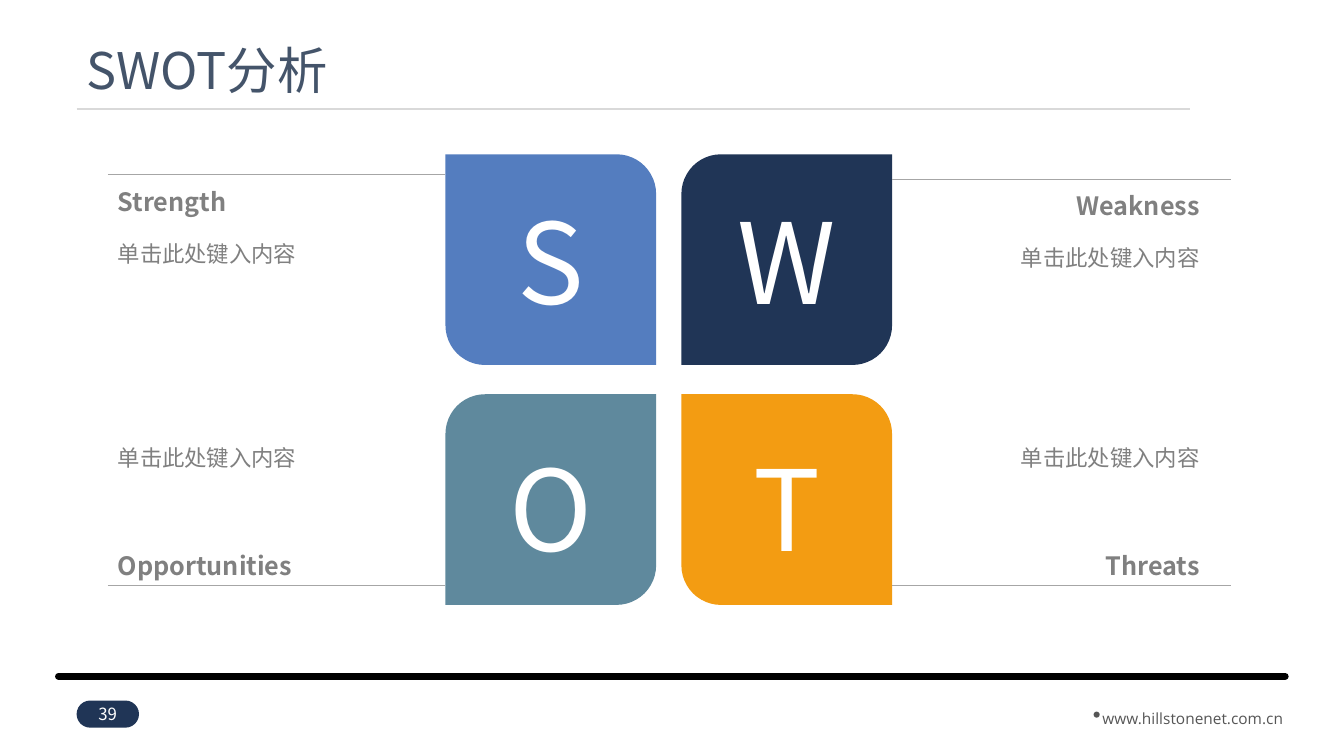
from pptx import Presentation
from pptx import util as u
from pptx.dml.color import RGBColor
from pptx.enum import shapes, text
from pptx.oxml.ns import qn

Pt = u.Pt
KIND, ALIGN = shapes.MSO_SHAPE, text.PP_ALIGN
CJK, SANS = "Noto Sans CJK SC", "Open Sans"
BLUE = RGBColor(0x54, 0x7D, 0xBF)
NAVY = RGBColor(0x20, 0x35, 0x56)
TEAL = RGBColor(0x5F, 0x89, 0x9D)
GOLD = RGBColor(0xF3, 0x9C, 0x12)
SLATE = RGBColor(0x44, 0x54, 0x6A)
GREY = RGBColor(0x80, 0x80, 0x80)
DARK = RGBColor(0x56, 0x56, 0x56)
MID = RGBColor(0xA6, 0xA6, 0xA6)
PALE = RGBColor(0xD9, 0xD9, 0xD9)
WHITE = RGBColor(255, 255, 255)
BLACK = RGBColor(0, 0, 0)

# Content
TITLE = "SWOT分析"
BODY = "单击此处键入内容"
SITE = "www.hillstonenet.com.cn"
PAGE = "39"
# Letter, heading, colour, then y of rule, heading and body; row by row
PARTS = [
    ("S", "Strength", BLUE, 124.9, 129.6, 164.2),
    ("W", "Weakness", NAVY, 127.8, 132.5, 167.0),
    ("O", "Opportunities", TEAL, 418.3, 389.5, 309.6),
    ("T", "Threats", GOLD, 418.3, 389.5, 309.6),
]

# Layout
TILE, LEFT, TOP = 150.5, 318.2, 110.2
STEP_X, STEP_Y = 168.5, 171.4
BEND = 0.188
EDGE_L, EDGE_R, TEXT_R = 77, 879.1, 864
HEAD_W, BODY_W = 160, 226
LETTER_Y = (133.2, 309.6)

# Text formats
HEAD = {"size": Pt(18), "bold": True}
PLAIN = {"size": Pt(16)}
BIG = {"size": Pt(80)}


def write(frame, words, font, color, align=None, space=None, name=CJK):
    para = frame.paragraphs[0]
    para.alignment = align
    if space:
        para.line_spacing = space
    run = para.add_run()
    run.text = words
    for key, value in {"name": name, **font}.items():
        setattr(run.font, key, value)
    run.font.color.rgb = color
    east = run.font._element.makeelement(qn("a:ea"), {"typeface": name})
    run.font._element.find(qn("a:latin")).addnext(east)


def label(x, y, w, h, words, font, color, align, space=None, name=CJK,
          mid=False, grow=True):
    frame = slide.shapes.add_textbox(Pt(x), Pt(y), Pt(w), Pt(h)).text_frame
    fit = text.MSO_AUTO_SIZE
    form = {
        "word_wrap": True,
        "auto_size": fit.SHAPE_TO_FIT_TEXT if grow else fit.NONE,
        "vertical_anchor": text.MSO_ANCHOR.MIDDLE if mid else text.MSO_ANCHOR.TOP,
    }
    for key, value in form.items():
        setattr(frame, key, value)
    write(frame, words, font, color, align, space, name)


def block(kind, x, y, w, h, color):
    shape = slide.shapes.add_shape(kind, Pt(x), Pt(y), Pt(w), Pt(h))
    shape.shadow.inherit = False
    shape.fill.solid()
    shape.fill.fore_color.rgb = color
    shape.line.fill.background()
    return shape


def rule(x, end, y, color, width):
    line = slide.shapes.add_connector(
        shapes.MSO_CONNECTOR.STRAIGHT, Pt(x), Pt(y), Pt(end), Pt(y))
    line.line.color.rgb = color
    line.line.width = Pt(width)
    props = line._element.spPr
    props.append(props.makeelement(qn("a:effectLst"), {}))
    return line


deck = Presentation()
deck.slide_width, deck.slide_height = Pt(960), Pt(540)
slide = deck.slides.add_slide(deck.slide_layouts[5])

# Footer
base = rule(41.8, 918, 483.1, BLACK, 5)
base.line._ln.set("cap", "rnd")
label(768.2, 496.1, 167.8, 27.4, SITE, {"size": Pt(11)}, DARK,
      ALIGN.CENTER, 1.5, SANS)
block(KIND.OVAL, 781.2, 508.3, 4.3, 4.3, DARK)

# Title
rule(54.7, 850.3, 77.8, PALE, 1.5)
title = slide.shapes.title
spot = {"left": 54.7, "top": 28.8, "width": 772.6, "height": 47.5}
for key, value in spot.items():
    setattr(title, key, Pt(value))
title.text_frame.auto_size = text.MSO_AUTO_SIZE.NONE
title.text_frame.vertical_anchor = text.MSO_ANCHOR.MIDDLE
write(title.text_frame, TITLE, {"size": Pt(36)}, SLATE, ALIGN.LEFT, 0.9)

# Page number
badge = block(KIND.ROUNDED_RECTANGLE, 54.7, 500.4, 44.6, 19.4, NAVY)
badge.adjustments[0] = 0.5
for side in ("left", "right", "top", "bottom"):
    setattr(badge.text_frame, "margin_" + side, 0)
badge.text_frame.vertical_anchor = text.MSO_ANCHOR.MIDDLE
write(badge.text_frame, PAGE, {"size": Pt(12)}, WHITE, ALIGN.CENTER)

# Four quadrants
for i, (letter, head, color, rule_y, head_y, body_y) in enumerate(PARTS):
    row, col = divmod(i, 2)
    x, y = LEFT + col * STEP_X, TOP + row * STEP_Y
    tile = block(KIND.ROUND_2_DIAG_RECTANGLE, x, y, TILE, TILE, color)
    bends = (0, BEND) if row == col else (BEND, 0)
    for k, bend in enumerate(bends):
        tile.adjustments[k] = bend
    label(x + 20, LETTER_Y[row], TILE - 40, 104.4, letter, BIG, WHITE,
          ALIGN.CENTER, mid=True)

    if col:
        rule(x + TILE, EDGE_R, rule_y, MID, 0.5)
    else:
        rule(EDGE_L, x, rule_y, MID, 0.5)
    align = ALIGN.RIGHT if col else ALIGN.LEFT
    head_x, body_x = (
        TEXT_R - w if col else EDGE_L for w in (HEAD_W, BODY_W))
    label(head_x, head_y, HEAD_W, 28.8, head, HEAD, GREY, align)
    label(body_x, body_y, BODY_W, 67.7, BODY, PLAIN, GREY, align, 1.2,
          grow=False)

deck.save("out.pptx")
